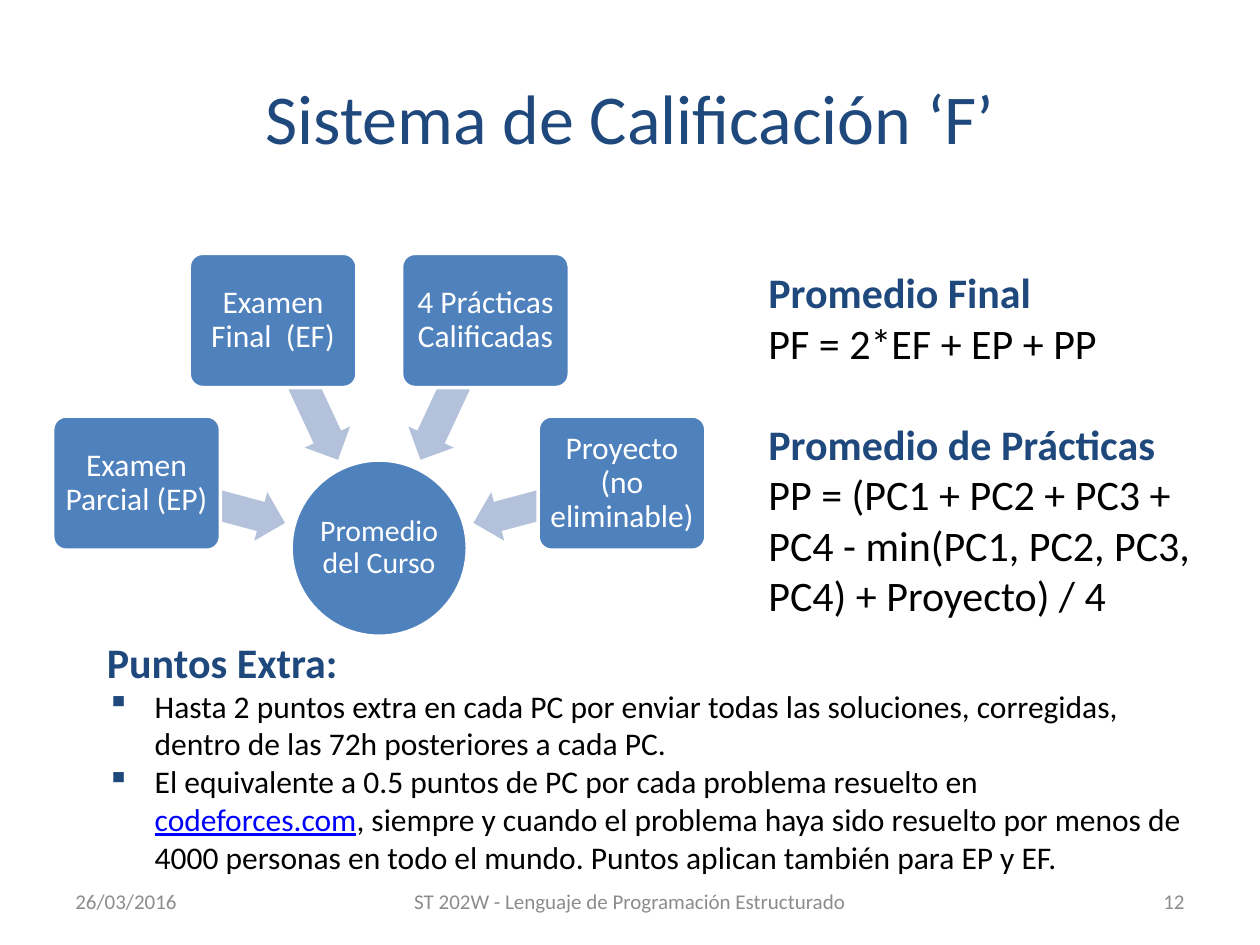
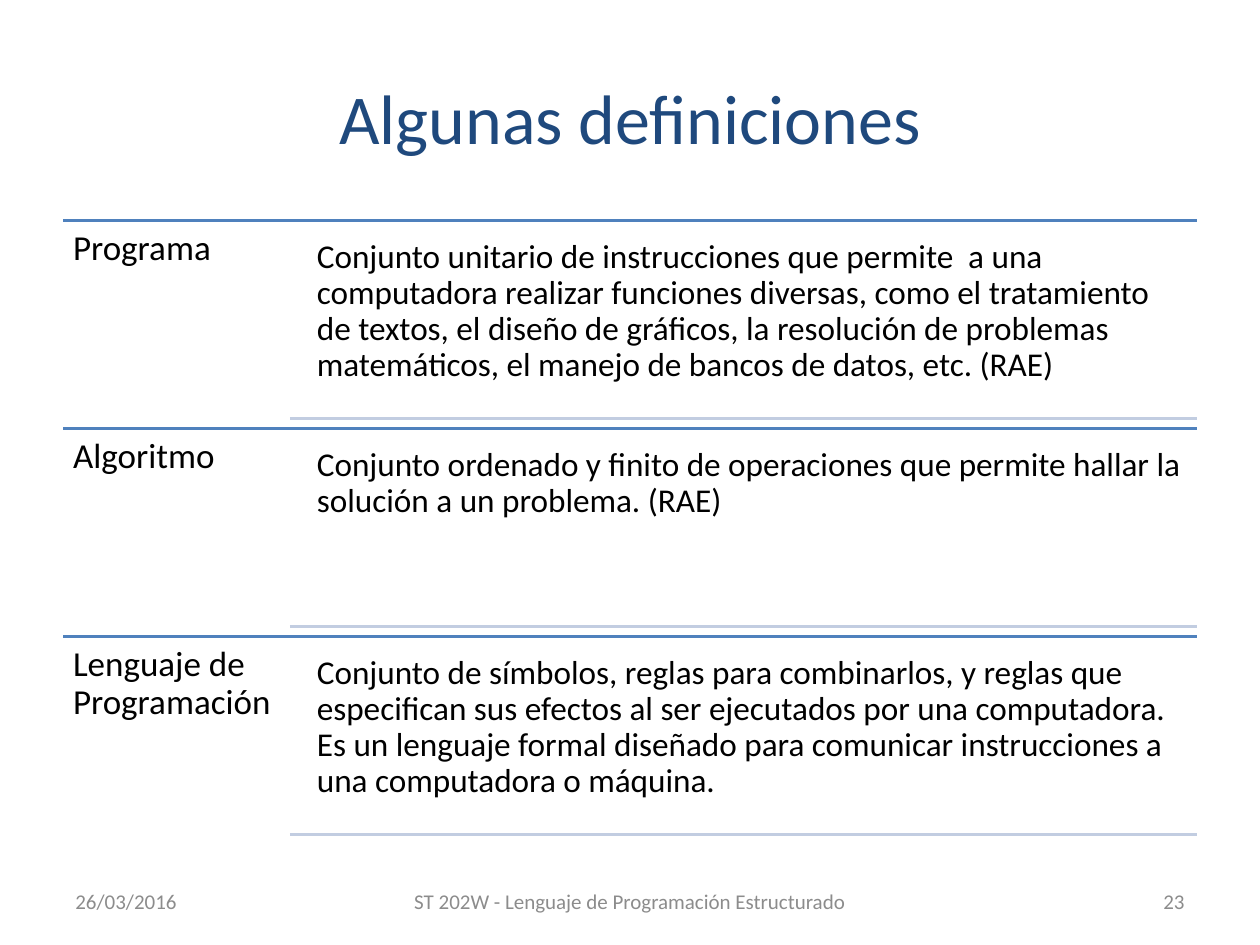
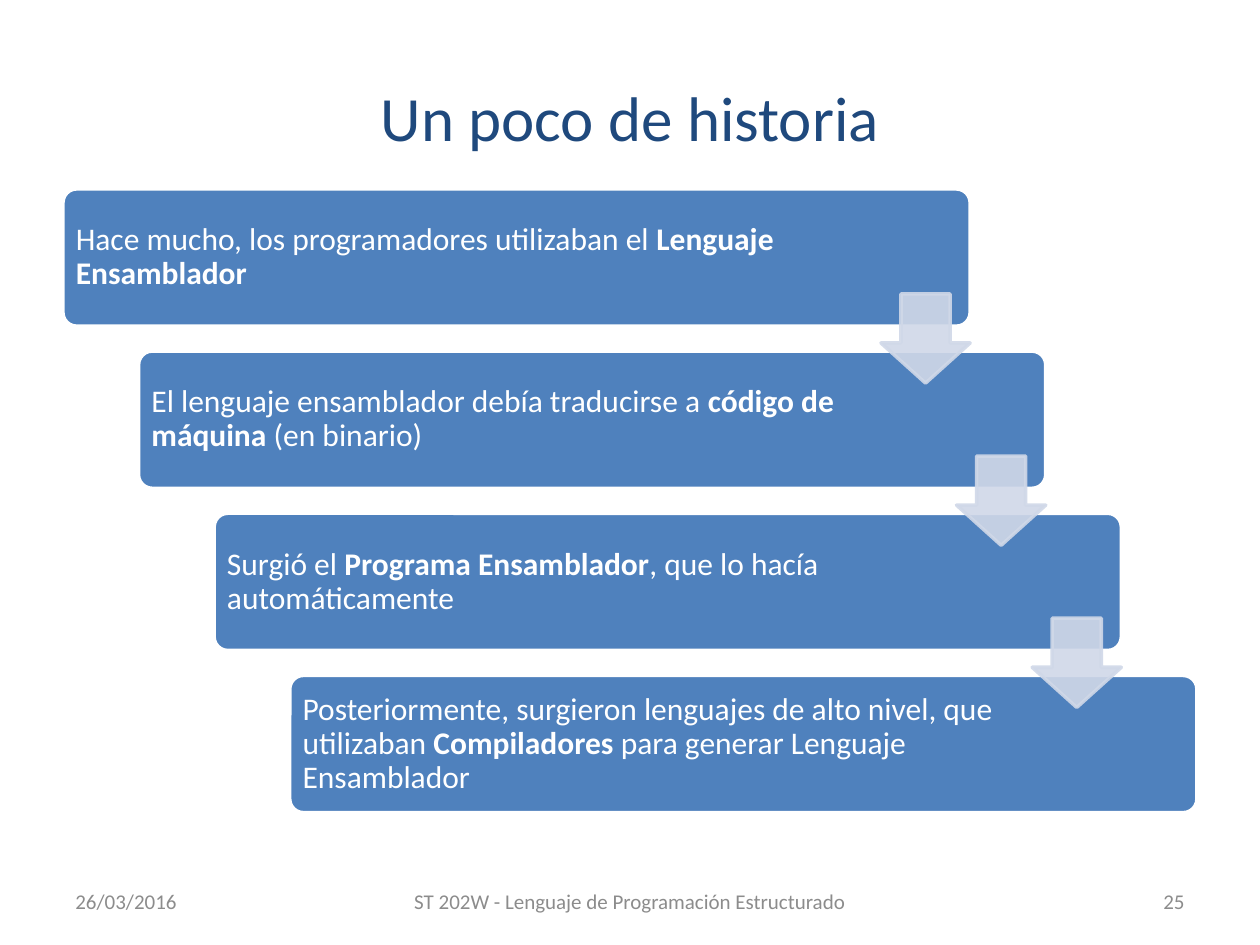
from math import cos, radians, sin
from typing import NamedTuple

from lxml import etree
from pptx import Presentation
from pptx.dml.color import RGBColor
from pptx.enum.shapes import MSO_CONNECTOR, MSO_SHAPE
from pptx.enum.text import MSO_ANCHOR, PP_ALIGN
from pptx.oxml.ns import qn
from pptx.util import Inches, Pt

LEFT, CENTER, RIGHT = PP_ALIGN.LEFT, PP_ALIGN.CENTER, PP_ALIGN.RIGHT
TOP, MIDDLE = MSO_ANCHOR.TOP, MSO_ANCHOR.MIDDLE
ELLIPSE, ROUNDED = MSO_SHAPE.OVAL, MSO_SHAPE.ROUNDED_RECTANGLE
LEFT_ARROW, DOWN_ARROW = MSO_SHAPE.LEFT_ARROW, MSO_SHAPE.DOWN_ARROW
STRAIGHT = MSO_CONNECTOR.STRAIGHT
TITLE_ONLY = 5

FONT = "Calibri"
NAVY, BLUE, WHITE, BLACK = "1F497D", "4F81BD", "FFFFFF", "000000"
ARROW_BLUE, PALE_BLUE, RULE_BLUE = "B3C1DB", "D0D8E8", "C2CDE1"
GRAY, LINK_BLUE = "8C8C8C", "0000FF"
DATE = "26/03/2016"
COURSE = "ST 202W - Lenguaje de Programación Estructurado"
BOLD = {"bold": True}


class Box(NamedTuple):
    """A region of the slide, in inches."""
    left: float
    top: float
    width: float
    height: float

    def region(self, x, y, width, height):
        """Return the box at these shares of this one."""
        return Box(self.left + x * self.width, self.top + y * self.height,
                   width * self.width, height * self.height)

    def emu(self):
        return [Inches(length) for length in self]


PAGE = Box(0, 0, 10, 7.5)
BODY = Box(0.5, 1.5, 9, 4.95)
DEFINITION_AREA = Box(0.5, 1.75, 9, 4.95)


def color(hex_string):
    return RGBColor.from_string(hex_string)


# Text
def add_bullet(paragraph, symbol, bullet_color, indent):
    properties = paragraph._p.get_or_add_pPr()
    properties.set("marL", str(Inches(indent)))
    properties.set("indent", str(-Inches(indent)))
    holder = etree.SubElement(properties, qn("a:buClr"))
    etree.SubElement(holder, qn("a:srgbClr"), val=bullet_color)
    etree.SubElement(properties, qn("a:buChar"), char=symbol)


def write(paragraph, runs, size=18, ink=BLACK, bold=False, align=LEFT,
          spacing=None, before=None, bullet=None):
    """Fill a paragraph; a run is a string or a (string, changes) pair."""
    paragraph.alignment = align
    if spacing:
        paragraph.line_spacing = spacing
    if before:
        paragraph.space_before = Pt(before)
    if bullet:
        add_bullet(paragraph, bullet, NAVY, 0.38)
    for item in [runs] if isinstance(runs, str) else runs:
        text, changes = (item, {}) if isinstance(item, str) else item
        run = paragraph.add_run()
        run.text = text
        run.font.name = FONT
        run.font.size = Pt(size)
        run.font.bold = changes.get("bold", bold)
        run.font.underline = changes.get("underline", False)
        run.font.color.rgb = color(changes.get("ink", ink))


def set_frame(frame, anchor=TOP, insets=(0.1, 0.05, 0.1, 0.05)):
    frame.word_wrap = True
    frame.vertical_anchor = anchor
    (frame.margin_left, frame.margin_top,
     frame.margin_right, frame.margin_bottom) = [Inches(i) for i in insets]


def add_text(slide, box, paragraphs, anchor=TOP, insets=(0.1, 0.05, 0.1, 0.05)):
    """Add a text box from (runs, format) pairs."""
    frame = slide.shapes.add_textbox(*box.emu()).text_frame
    set_frame(frame, anchor, insets)
    for index, (runs, text_format) in enumerate(paragraphs):
        paragraph = frame.add_paragraph() if index else frame.paragraphs[0]
        write(paragraph, runs, **text_format)


# Shapes and lines
def set_alpha(shape, percent):
    for element in shape._element.spPr.iter(qn("a:srgbClr")):
        etree.SubElement(element, qn("a:alpha"), val=str(percent * 1000))


def add_shape(slide, kind, box, fill, line=None, adjustments=(), rotation=0):
    shape = slide.shapes.add_shape(kind, *box.emu())
    shape.shadow.inherit = False
    shape.fill.solid()
    shape.fill.fore_color.rgb = color(fill)
    if line:
        shape.line.color.rgb = color(line)
        shape.line.width = Pt(2)
    else:
        shape.line.fill.background()
    for index, value in enumerate(adjustments):
        shape.adjustments[index] = value
    shape.rotation = rotation
    return shape


def add_card(slide, kind, box, runs, insets, **text_format):
    """Add a blue shape with white text."""
    rounding = [0.1] if kind == ROUNDED else []
    shape = add_shape(slide, kind, box, BLUE, WHITE, rounding)
    set_frame(shape.text_frame, MIDDLE, insets)
    write(shape.text_frame.paragraphs[0], runs, ink=WHITE, spacing=0.9, **text_format)


def add_rule(slide, left, right, y, ink):
    rule = slide.shapes.add_connector(STRAIGHT, *[Inches(i) for i in (left, y, right, y)])
    rule.line.color.rgb = color(ink)
    rule.line.width = Pt(2)
    etree.SubElement(rule._element.spPr, qn("a:effectLst"))


# Title and footer shared by all slides
def add_footer(slide, number):
    band = Box(0.5, 6.95, 9, 0.4)
    for x, width, text, align in ((0, 0.26, DATE, LEFT),
                                  (0.287, 0.426, COURSE, CENTER),
                                  (0.74, 0.26, str(number), RIGHT)):
        add_text(slide, band.region(x, 0, width, 1),
                 [(text, dict(size=12, ink=GRAY, align=align))], MIDDLE)


def start_slide(presentation, title, number, title_size=40):
    slide = presentation.slides.add_slide(presentation.slide_layouts[TITLE_ONLY])
    placeholder = slide.shapes.title
    (placeholder.left, placeholder.top,
     placeholder.width, placeholder.height) = PAGE.region(0.05, 0.04, 0.9, 1 / 6).emu()
    set_frame(placeholder.text_frame, MIDDLE)
    write(placeholder.text_frame.paragraphs[0], title,
          size=title_size, ink=NAVY, align=CENTER)
    add_footer(slide, number)
    return slide


# Grading slide
def add_radial(slide, box, hub_text, node_texts):
    """Place nodes on an arc above a hub, each with an arrow to the hub."""
    unit = box.width
    hub = 0.27 * unit
    center_x = box.left + unit / 2
    center_y = box.top + box.height - hub / 2

    def around(angle, radius, width, height):
        x = center_x + radius * cos(radians(angle))
        y = center_y + radius * sin(radians(angle))
        return Box(x - width / 2, y - height / 2, width, height)

    add_card(slide, ELLIPSE, around(0, 0, hub, hub), hub_text, [0.01] * 4,
             size=17, align=CENTER)
    node_width = 0.257 * unit
    for index, text in enumerate(node_texts):
        angle = 195 + 50 * index
        arrow = around(angle, 0.267 * unit, 0.235 * unit, 0.077 * unit)
        add_shape(slide, LEFT_ARROW, arrow, ARROW_BLUE,
                  adjustments=(0.6, 0.5), rotation=angle)
        node = around(angle, 0.385 * unit, node_width, 0.8 * node_width)
        add_card(slide, ROUNDED, node, text, [0.04] * 4, align=CENTER)


def build_grading(presentation):
    slide = start_slide(presentation, "Sistema de Calificación ‘F’", 12)
    add_radial(slide, Box(0.42, 2.01, 5.18, 3.04), "Promedio del Curso",
               ["Examen Parcial (EP)", "Examen Final  (EF)",
                "4 Prácticas Calificadas", "Proyecto (no eliminable)"])
    heading = dict(size=24, ink=NAVY, bold=True)
    formula = dict(size=24)
    add_text(slide, PAGE.region(0.6, 0.276, 0.375, 0.39), [
        ("Promedio Final", heading),
        ("PF = 2*EF + EP + PP", formula),
        ("Promedio de Prácticas", dict(heading, before=29)),
        ("PP = (PC1 + PC2 + PC3 + PC4 - min(PC1, PC2, PC3, PC4) + Proyecto) / 4",
         formula)])
    bullet = dict(bullet="▪")
    add_text(slide, PAGE.region(0.075, 2 / 3, 0.883, 0.27), [
        ("Puntos Extra:", heading),
        ("Hasta 2 puntos extra en cada PC por enviar todas las soluciones, "
         "corregidas, dentro de las 72h posteriores a cada PC.", bullet),
        (["El equivalente a 0.5 puntos de PC por cada problema resuelto en ",
          ("codeforces.com", dict(ink=LINK_BLUE, underline=True)),
          ", siempre y cuando el problema haya sido resuelto por menos de 4000 "
          "personas en todo el mundo. Puntos aplican también para EP y EF."],
         bullet)])


# Definitions slide
def add_definition(slide, box, term, meaning):
    right = box.left + box.width
    insets = [0.08] * 4
    add_rule(slide, box.left, right, box.top, BLUE)
    add_text(slide, box.region(0, 0, 0.2, 1), [(term, dict(size=20, spacing=0.9))],
             insets=insets)
    add_text(slide, box.region(0.215, 0.045, 0.785, 0.91),
             [(meaning, dict(size=19, spacing=0.9))], insets=insets)
    add_rule(slide, box.left + 0.2 * box.width, right,
             box.top + 0.953 * box.height, RULE_BLUE)


def build_definitions(presentation):
    slide = start_slide(presentation, "Algunas definiciones", 23)
    definitions = [
        ("Programa",
         "Conjunto unitario de instrucciones que permite  a una computadora "
         "realizar funciones diversas, como el tratamiento de textos, el diseño "
         "de gráficos, la resolución de problemas matemáticos, el manejo de "
         "bancos de datos, etc. (RAE)"),
        ("Algoritmo",
         "Conjunto ordenado y finito de operaciones que permite hallar la "
         "solución a un problema. (RAE)"),
        ("Lenguaje de Programación",
         "Conjunto de símbolos, reglas para combinarlos, y reglas que "
         "especifican sus efectos al ser ejecutados por una computadora. Es un "
         "lenguaje formal diseñado para comunicar instrucciones a una "
         "computadora o máquina.")]
    share = 1 / len(definitions)
    for index, (term, meaning) in enumerate(definitions):
        add_definition(slide, DEFINITION_AREA.region(0, index * share, 1, share),
                       term, meaning)


# History slide
def add_staircase(slide, box, steps):
    """Place steps down a diagonal, then an arrow between each pair."""
    width, height = 0.8, 0.22
    gaps = len(steps) - 1
    cards = [box.region(index * (1 - width) / gaps, index * (1 - height) / gaps,
                        width, height) for index in range(len(steps))]
    for card, runs in zip(cards, steps):
        add_card(slide, ROUNDED, card, runs, (0.07, 0.07, 1.38, 0.07))
    for card in cards[:-1]:
        side = 0.65 * card.height
        arrow_box = Box(card.left + card.width - side,
                        card.top + 0.765 * card.height, side, side)
        arrow = add_shape(slide, DOWN_ARROW, arrow_box, PALE_BLUE, PALE_BLUE,
                          (0.55, 0.45))
        set_alpha(arrow, 90)


def build_history(presentation):
    slide = start_slide(presentation, "Un poco de historia", 25, title_size=36)
    add_staircase(slide, BODY, [
        ["Hace mucho, los programadores utilizaban el ",
         ("Lenguaje Ensamblador", BOLD)],
        ["El lenguaje ensamblador debía traducirse a ",
         ("código de máquina", BOLD), " (en binario)"],
        ["Surgió el ", ("Programa Ensamblador", BOLD),
         ", que lo hacía automáticamente"],
        ["Posteriormente, surgieron lenguajes de alto nivel, que utilizaban ",
         ("Compiladores", BOLD), " para generar Lenguaje Ensamblador"]])


def main():
    presentation = Presentation()
    presentation.slide_width = Inches(PAGE.width)
    presentation.slide_height = Inches(PAGE.height)
    build_grading(presentation)
    build_definitions(presentation)
    build_history(presentation)
    presentation.save("out.pptx")


if __name__ == "__main__":
    main()
